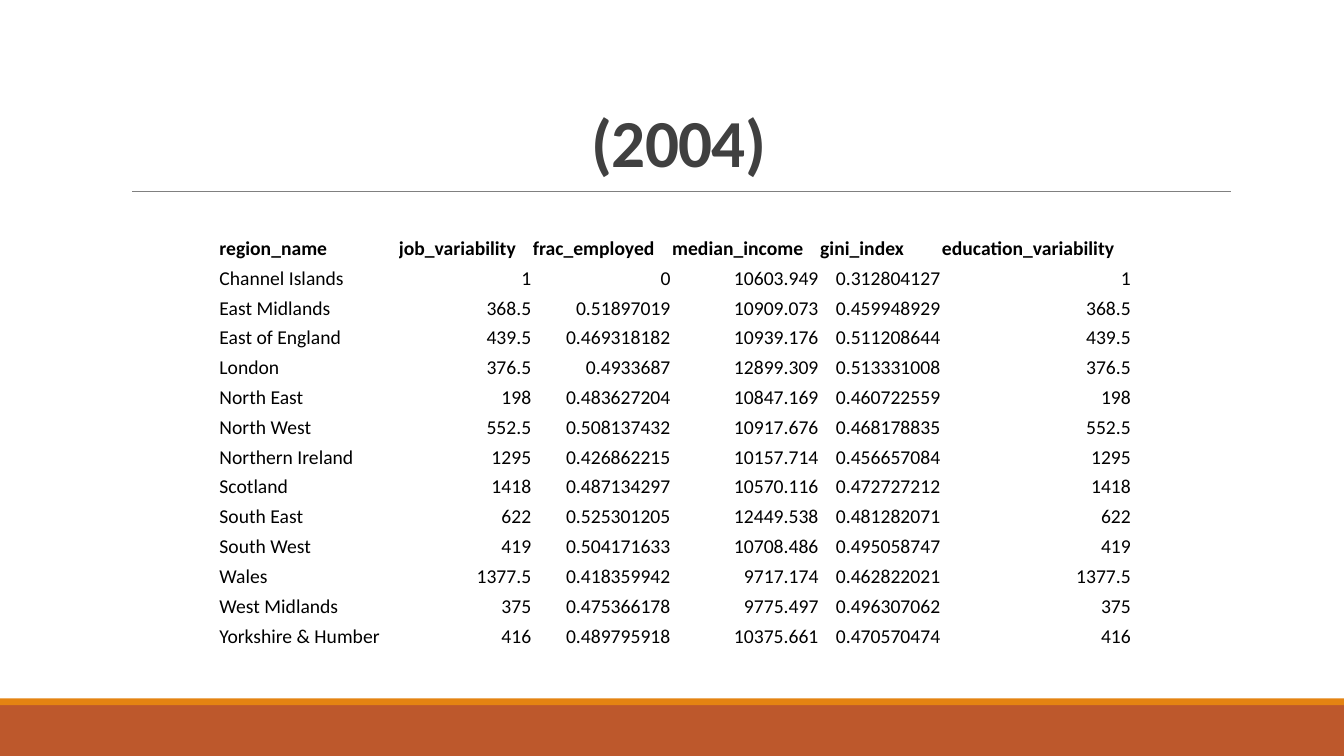
from pptx import Presentation
from pptx.dml.color import RGBColor
from pptx.enum.shapes import MSO_CONNECTOR as Line, MSO_SHAPE as Shape
from pptx.enum.text import MSO_ANCHOR as Anchor, PP_ALIGN as Align
from pptx.oxml.ns import qn
from pptx.util import Cm, Pt
from lxml.etree import SubElement

WIDE, HIGH = 33.87, 19.05
FONT = "Calibri"
COLORS = {"rust": "BD582C", "orange": "E48312", "rule": "808080",
          "title": "404040", "text": "000000"}

HEADS = ["region_name", "job_variability", "frac_employed",
         "median_income", "gini_index", "education_variability"]
ROWS = [
    ["Channel Islands", "1", "0", "10603.949", "0.312804127", "1"],
    ["East Midlands", "368.5", "0.51897019", "10909.073", "0.459948929", "368.5"],
    ["East of England", "439.5", "0.469318182", "10939.176", "0.511208644", "439.5"],
    ["London", "376.5", "0.4933687", "12899.309", "0.513331008", "376.5"],
    ["North East", "198", "0.483627204", "10847.169", "0.460722559", "198"],
    ["North West", "552.5", "0.508137432", "10917.676", "0.468178835", "552.5"],
    ["Northern Ireland", "1295", "0.426862215", "10157.714", "0.456657084", "1295"],
    ["Scotland", "1418", "0.487134297", "10570.116", "0.472727212", "1418"],
    ["South East", "622", "0.525301205", "12449.538", "0.481282071", "622"],
    ["South West", "419", "0.504171633", "10708.486", "0.495058747", "419"],
    ["Wales", "1377.5", "0.418359942", "9717.174", "0.462822021", "1377.5"],
    ["West Midlands", "375", "0.475366178", "9775.497", "0.496307062", "375"],
    ["Yorkshire & Humber", "416", "0.489795918", "10375.661", "0.470570474", "416"],
]
WIDTHS = [4.52, 3.38, 3.51, 3.73, 3.07, 4.8]


def color(name):
    return RGBColor.from_string(COLORS[name])


def add_run(para, text, size, tint, bold):
    run = para.add_run()
    run.text = text
    font = run.font
    font.name, font.size, font.bold = FONT, Pt(size), bold
    font.color.rgb = color(tint)
    return run


def add_bar(slide, left, top, width, height, tint):
    bar = slide.shapes.add_shape(Shape.RECTANGLE, Cm(left), Cm(top),
                                 Cm(width), Cm(height))
    bar.shadow.inherit = False
    bar.fill.solid()
    bar.fill.fore_color.rgb = color(tint)
    bar.line.fill.background()


def add_foot(slide, left, top, width, height):
    strip = 0.17
    add_bar(slide, left, top + strip, width, height - strip, "rust")
    add_bar(slide, left, top, width, strip, "orange")


def add_rule(slide, left, top, width):
    rule = slide.shapes.add_connector(Line.STRAIGHT, Cm(left), Cm(top),
                                      Cm(left + width), Cm(top))
    rule.line.color.rgb = color("rule")
    rule.line.width = Pt(0.5)
    SubElement(rule._element.spPr, qn("a:effectLst"))


def add_title(slide, left, top, width, height):
    box = slide.shapes.add_textbox(Cm(left), Cm(top), Cm(width), Cm(height))
    frame = box.text_frame
    frame.word_wrap = True
    frame.vertical_anchor = Anchor.BOTTOM
    para = frame.paragraphs[0]
    para.line_spacing = 0.85
    run = add_run(para, "(2004)", 48, "title", True)
    run.font._element.set("spc", "-50")


def fill_cell(cell, text, head, right):
    cell.fill.background()
    cell.vertical_anchor = Anchor.BOTTOM
    cell.margin_left = cell.margin_right = cell.margin_top = Cm(0.02)
    cell.margin_bottom = 0
    para = cell.text_frame.paragraphs[0]
    para.alignment = Align.RIGHT if right else Align.LEFT
    add_run(para, text, 14, "text", head)


def add_stats(slide, left, top, height):
    lines = [HEADS] + ROWS
    table = slide.shapes.add_table(len(lines), len(HEADS), Cm(left), Cm(top),
                                   Cm(sum(WIDTHS)), Cm(height)).table
    table.first_row = table.horz_banding = False
    for col, width in zip(table.columns, WIDTHS):
        col.width = Cm(width)
    for r, line in enumerate(lines):
        table.rows[r].height = Cm(height / len(lines))
        for c, text in enumerate(line):
            fill_cell(table.cell(r, c), text, r == 0, r > 0 and c > 0)


def main():
    deck = Presentation()
    deck.slide_width, deck.slide_height = Cm(WIDE), Cm(HIGH)
    slide = deck.slides.add_slide(deck.slide_layouts[6])
    # Footer band and title rule
    add_foot(slide, 0, 17.6, WIDE, HIGH - 17.6)
    add_rule(slide, 3.33, 4.82, 27.68)
    # Year and regional figures
    add_title(slide, 14.66, 2.36, 5.61, 2.34)
    add_stats(slide, 5.51, 5.82, 10.52)
    deck.save("out.pptx")


if __name__ == "__main__":
    main()
